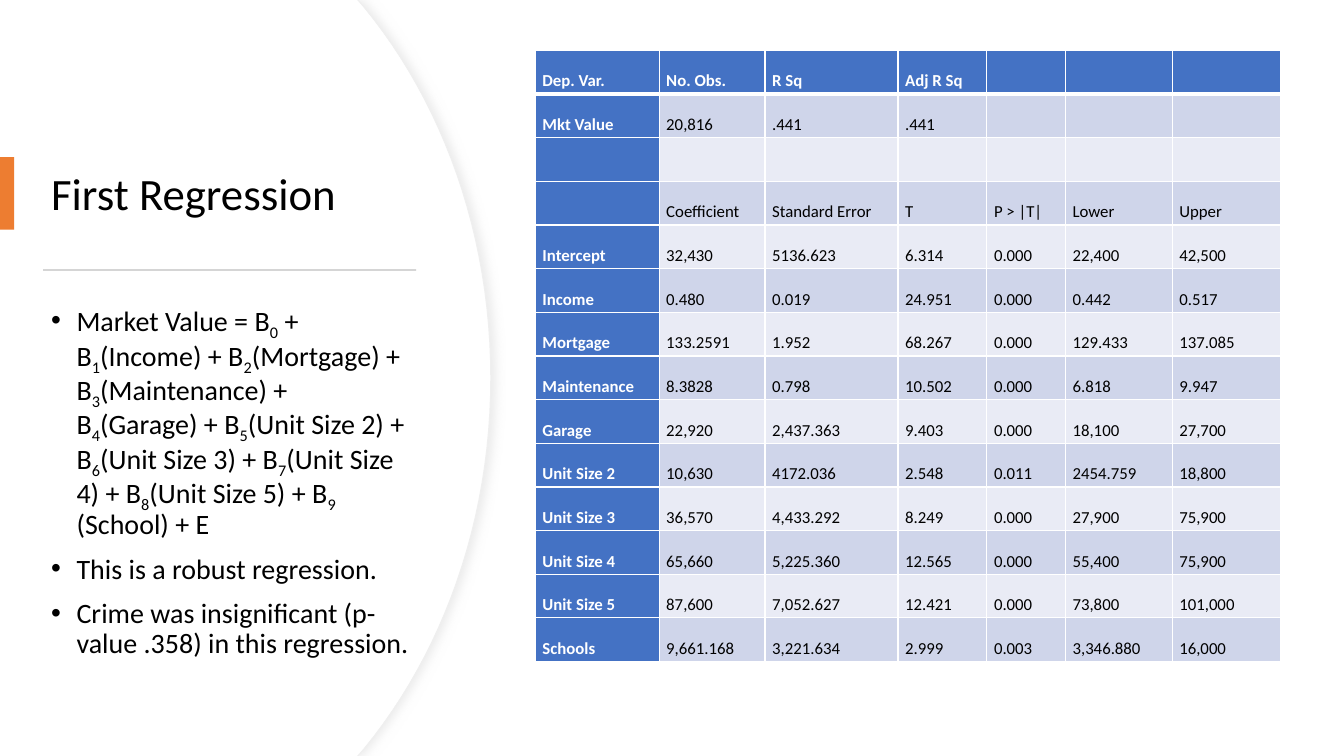
from itertools import product

from lxml import etree
from pptx import Presentation
from pptx import util as u
from pptx.dml import color
from pptx.enum import shapes, text
from pptx.oxml import ns

TITLE = "First Regression"
BULLETS = [
    "Market Value = B|0| + B|1|(Income) + B|2|(Mortgage) + B|3|(Maintenance) + B|4|(Garage)"
    " + B|5|(Unit Size 2) + B|6|(Unit Size 3) + B|7|(Unit Size 4) + B|8|(Unit Size 5)"
    " + B|9 |(School) + E",
    "This is a robust regression.",
    "Crime was insignificant (p-value .358) in this regression.",
]
RESULTS = [
    ("Dep. Var.", "No. Obs.", "R Sq", "Adj R Sq", "", "", ""),
    ("Mkt Value", "20,816", ".441", ".441", "", "", ""),
    ("", "", "", "", "", "", ""),
    ("", "Coefficient", "Standard Error", "T", "P > |T|", "Lower", "Upper"),
    ("Intercept", "32,430", "5136.623", "6.314", "0.000", "22,400", "42,500"),
    ("Income", "0.480", "0.019", "24.951", "0.000", "0.442", "0.517"),
    ("Mortgage", "133.2591", "1.952", "68.267", "0.000", "129.433", "137.085"),
    ("Maintenance", "8.3828", "0.798", "10.502", "0.000", "6.818", "9.947"),
    ("Garage", "22,920", "2,437.363", "9.403", "0.000", "18,100", "27,700"),
    ("Unit Size 2", "10,630", "4172.036", "2.548", "0.011", "2454.759", "18,800"),
    ("Unit Size 3", "36,570", "4,433.292", "8.249", "0.000", "27,900", "75,900"),
    ("Unit Size 4", "65,660", "5,225.360", "12.565", "0.000", "55,400", "75,900"),
    ("Unit Size 5", "87,600", "7,052.627", "12.421", "0.000", "73,800", "101,000"),
    ("Schools", "9,661.168", "3,221.634", "2.999", "0.003", "3,346.880", "16,000"),
]
COLUMN_WIDTHS = [3.12, 2.67, 3.35, 2.24, 1.98, 2.69, 2.72]
ROW_HEIGHT = 1.1
PAGE_WIDTH, PAGE_HEIGHT = 33.87, 19.05
ARC = [(9.19, 0.2), (11.15, 2.59), (12.37, 5.89), (12.37, 9.53)]
ARC_START, ARC_STEPS = 9.02, 24

THEME = {
    "font": "Calibri", "title": 32, "body": 20, "cell": 12,
    "ink": "000000", "paper": "FFFFFF", "accent": "ED7D31", "rule": "D5D5D5",
    "edge": "EFEFEF", "shade": "D9D9D9", "head": "4472C4", "bands": ("E9EBF5", "CFD5EA"),
}


def rgb(value):
    return color.RGBColor.from_string(value)


def apply(target, values):
    for name, value in values.items():
        setattr(target, name, value)


def add_xml(parent, tag, **attributes):
    return etree.SubElement(parent, ns.qn(tag), attributes)


def paint(shape, fill, line=None):
    shape.shadow.inherit = False
    shape.fill.solid()
    shape.fill.fore_color.rgb = rgb(fill)
    if line:
        shape.line.color.rgb = rgb(line)
        shape.line.width = u.Pt(0.75)
    else:
        shape.line.fill.background()


def add_span(para, words, size, ink="ink", bold=False):
    span = para.add_run()
    span.text = words
    apply(span.font, {"name": THEME["font"], "size": u.Pt(THEME[size]), "bold": bold})
    span.font.color.rgb = rgb(THEME[ink])
    return span


def add_box(page, left, top, width, height, anchor):
    frame = page.shapes.add_textbox(*map(u.Cm, (left, top, width, height))).text_frame
    apply(frame, {"word_wrap": True, "vertical_anchor": anchor})
    return frame


def arc_point(t):
    weights = ((1 - t) ** 3, 3 * t * (1 - t) ** 2, 3 * t * t * (1 - t), t ** 3)
    return tuple(sum(w * p[axis] for w, p in zip(weights, ARC)) for axis in (0, 1))


def add_panel(page, shift, line=None):
    upper = [(ARC_START, 0)] + [arc_point(step / ARC_STEPS) for step in range(ARC_STEPS + 1)]
    lower = [(x, PAGE_HEIGHT - y) for x, y in reversed(upper)]
    outline = [(x - shift, y) for x, y in upper + lower] + [(0, PAGE_HEIGHT)]
    builder = page.shapes.build_freeform(0, 0)
    builder.add_line_segments([(u.Cm(x), u.Cm(y)) for x, y in outline], close=True)
    panel = builder.convert_to_shape()
    paint(panel, THEME["paper"], line)
    return panel


def add_shade(panel):
    effects = panel._element.spPr.find(ns.qn("a:effectLst"))
    shade = add_xml(effects, "a:outerShdw", blurRad=str(u.Pt(7)), dist=str(u.Pt(3)), dir="0")
    add_xml(add_xml(shade, "a:srgbClr", val=THEME["shade"]), "a:alpha", val="50000")


def add_bullet(para, content):
    apply(para, {"line_spacing": 0.9, "space_before": u.Pt(10)})
    props = para._p.get_or_add_pPr()
    indent = u.Cm(0.64)
    props.set("marL", str(indent))
    props.set("indent", str(-indent))
    add_xml(props, "a:buFont", typeface="Arial")
    add_xml(props, "a:buChar", char="•")
    for index, words in enumerate(content.split("|")):
        span = add_span(para, words, "body")
        if index % 2:
            span.font._element.set("baseline", "-25000")


def add_borders(cell, is_header):
    props = cell._tc.get_or_add_tcPr()
    for side in "LRTB":
        width = u.Pt(3 if is_header and side == "B" else 1)
        border = add_xml(props, "a:ln" + side, w=str(width))
        add_xml(add_xml(border, "a:solidFill"), "a:srgbClr", val=THEME["paper"])


def add_results(page):
    rows, columns = len(RESULTS), len(COLUMN_WIDTHS)
    place = map(u.Cm, (13.49, 1.27, sum(COLUMN_WIDTHS), rows * ROW_HEIGHT))
    table = page.shapes.add_table(rows, columns, *place).table
    for column, width in zip(table.columns, COLUMN_WIDTHS):
        column.width = u.Cm(width)
    for row in table.rows:
        row.height = u.Cm(ROW_HEIGHT)
    for r, c in product(range(rows), range(columns)):
        cell, is_label = table.cell(r, c), r == 0 or c == 0
        apply(cell, {"margin_left": u.Cm(0.18), "margin_right": u.Cm(0.18),
                     "margin_top": 0, "margin_bottom": 0})
        add_borders(cell, r == 0)
        cell.fill.solid()
        cell.fill.fore_color.rgb = rgb(THEME["head"] if is_label else THEME["bands"][r % 2])
        if RESULTS[r][c]:
            para = cell.text_frame.paragraphs[0]
            para.line_spacing = 2.0
            add_span(para, RESULTS[r][c], "cell", "paper" if is_label else "ink", is_label)


deck = Presentation()
apply(deck, {"slide_width": u.Cm(PAGE_WIDTH), "slide_height": u.Cm(PAGE_HEIGHT)})
page = deck.slides.add_slide(deck.slide_layouts[6])

add_shade(add_panel(page, 0, THEME["edge"]))
add_panel(page, 0.03)

heading = add_box(page, 1.04, 3.23, 9.55, 3.43, text.MSO_ANCHOR.MIDDLE).paragraphs[0]
heading.line_spacing = 0.9
add_span(heading, TITLE, "title")

for place, fill in [((0, 3.96, 0.36, 1.83), "accent"), ((1.09, 6.78, 9.4, 0.05), "rule")]:
    bar = page.shapes.add_shape(shapes.MSO_SHAPE.RECTANGLE, *map(u.Cm, place))
    paint(bar, THEME[fill])

body = add_box(page, 1.04, 7.54, 9.55, 8.92, text.MSO_ANCHOR.TOP)
for index, content in enumerate(BULLETS):
    add_bullet(body.add_paragraph() if index else body.paragraphs[0], content)

add_results(page)
deck.save("out.pptx")
